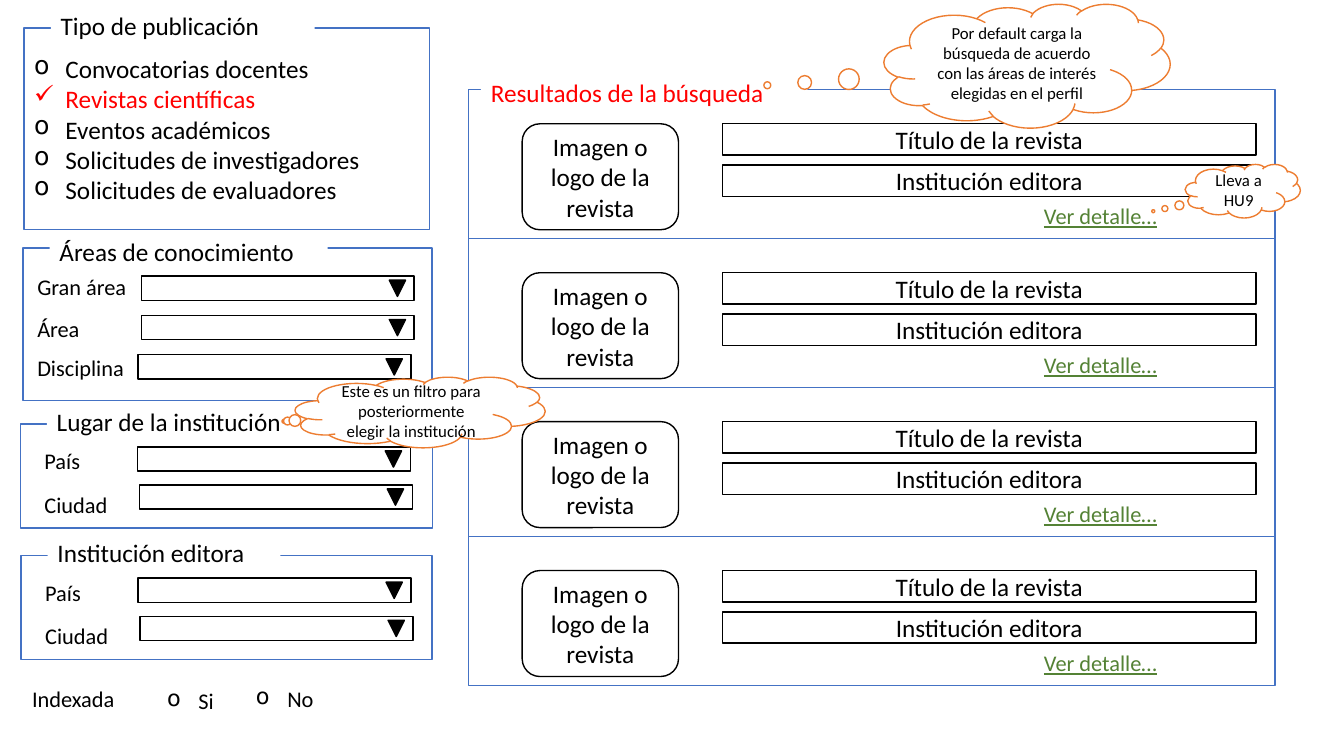
from lxml import etree
from pptx import Presentation
from pptx.dml.color import RGBColor
from pptx.enum.shapes import MSO_SHAPE
from pptx.enum.text import MSO_ANCHOR, PP_ALIGN
from pptx.oxml.ns import qn
from pptx.util import Cm, Pt

RECT, ROUND = MSO_SHAPE.RECTANGLE, MSO_SHAPE.ROUNDED_RECTANGLE
CLOUD, ARROW = MSO_SHAPE.CLOUD_CALLOUT, MSO_SHAPE.ISOSCELES_TRIANGLE
LEFT, CENTER = PP_ALIGN.LEFT, PP_ALIGN.CENTER
TOP, MIDDLE = MSO_ANCHOR.TOP, MSO_ANCHOR.MIDDLE
BLACK, WHITE, RED = "000000", "FFFFFF", "FF0000"
BLUE, GREEN, ORANGE = "4472C4", "548235", "ED7D31"
FONT = "Calibri"


def color(code):
    return RGBColor.from_string(code)


def draw(home, box, kind=RECT, fill=WHITE, line=None):
    shape = home.add_shape(kind, *map(Cm, box))
    shape.shadow.inherit = False
    if fill:
        shape.fill.solid()
        shape.fill.fore_color.rgb = color(fill)
    else:
        shape.fill.background()
    if line:
        shape.line.color.rgb = color(line)
        shape.line.width = Pt(1)
    else:
        shape.line.fill.background()
    return shape


def write(shape, text, size=18, ink=BLACK, align=CENTER, anchor=MIDDLE,
          mark=None, under=False, wrap=True, first=True):
    frame = shape.text_frame
    frame.word_wrap = wrap
    frame.vertical_anchor = anchor
    para = frame.paragraphs[0] if first else frame.add_paragraph()
    para.alignment = align
    run = para.add_run()
    run.text = text
    font = run.font
    font.name, font.size, font.underline = FONT, Pt(size), under
    font.color.rgb = color(ink)
    if mark:
        props = para._p.get_or_add_pPr()
        props.set("marL", str(Cm(0.79)))
        props.set("indent", str(-Cm(0.79)))
        etree.SubElement(props, qn("a:buChar")).set("char", mark)


def label(home, box, text, size=16, fill=None, **look):
    shape = draw(home, box, fill=fill)
    write(shape, text, size, align=LEFT, anchor=TOP, **look)


def field(home, x, y):
    # Drop-down list
    group = home.add_group_shape().shapes
    draw(group, (x, y, 6.88, 0.61), line=BLACK)
    arrow = draw(group, (x + 6.25, y + 0.1, 0.41, 0.41), ARROW, BLACK, BLACK)
    arrow.rotation = 180


def panel(home, box, title, wide, rise, rows=()):
    # Framed filter; each row is name, label x and y, field x and y
    x, y = box[:2]
    frame = draw(home, box, line=BLUE)
    label(home, (x + 0.67, y - rise, wide, 1.02), title, 18, WHITE)
    for name, tx, ty, fx, fy in rows:
        label(home, (x + tx, y + ty, 3.3, 0.94), name)
        field(home, x + fx, y + fy)
    return frame


def options(shape, names, chosen):
    for i, name in enumerate(names):
        on = name == chosen
        write(shape, name, ink=RED if on else BLACK, align=LEFT,
              mark="✓" if on else "o", first=i == 0)


def index(home, x, y):
    # Yes or no choice
    label(home, (x, y, 2.97, 0.94), "Indexada")
    label(home, (x + 3.4, y + 0.05, 1.85, 0.94), "Si", mark="o")
    label(home, (x + 5.64, y, 2.31, 0.94), "No", mark="o")


def card(home, x, y, wide, high):
    # One search result
    draw(home, (x, y, wide, high), line=BLUE)
    logo = draw(home, (x + 1.35, y + 0.86, 3.94, 2.67), ROUND, line=BLACK)
    write(logo, "Imagen o logo de la revista")
    lines = ("Título de la revista", "Institución editora")
    for i, text in enumerate(lines):
        bar = draw(home, (x + 6.4, y + 0.86 + 1.04 * i, 13.44, 0.79),
                   line=BLACK)
        write(bar, text)
    label(home, (x + 14.25, y + 2.72, 3.43, 0.94), "Ver detalle…",
          fill=WHITE, ink=GREEN, under=True, wrap=False)


def results(home, x, y, wide, high, count):
    step = high / count
    for i in range(count):
        card(home, x, y + i * step, wide, step)
    label(home, (x + 0.31, y - 0.43, 8.23, 1.02),
          "Resultados de la búsqueda", 18, WHITE, ink=RED)


def cloud(home, box, text, tail):
    shape = draw(home, box, CLOUD, line=ORANGE)
    for i, value in enumerate(tail):
        shape.adjustments[i] = value
    write(shape, text, 12)


deck = Presentation()
deck.slide_width, deck.slide_height = Cm(33.87), Cm(19.05)
page = deck.slides.add_slide(deck.slide_layouts[6]).shapes

# Filters
kinds = panel(page, (0.61, 0.71, 10.21, 5.08), "Tipo de publicación",
              6.65, 0.58)
options(kinds, ("Convocatorias docentes", "Revistas científicas",
                "Eventos académicos", "Solicitudes de investigadores",
                "Solicitudes de evaluadores"), "Revistas científicas")
areas = (("Gran área", 0.11, 0.51, 2.98, 0.71),
         ("Área", 0.11, 1.57, 2.98, 1.7),
         ("Disciplina", 0.11, 2.54, 2.9, 2.69))
places = (("País", 0.36, 0.46, 2.95, 0.57),
          ("Ciudad", 0.36, 1.56, 3, 1.53))
panel(page, (0.58, 6.25, 10.31, 3.84), "Áreas de conocimiento",
      7.01, 0.43, areas)
panel(page, (0.51, 10.69, 10.39, 2.62), "Lugar de la institución",
      6.6, 0.58, places)
panel(page, (0.53, 14, 10.36, 2.62), "Institución editora",
      5.87, 0.58, places)
index(page, 0.56, 17.15)

# Results
results(page, 11.81, 2.26, 20.32, 15.01, 4)

# Notes in clouds
cloud(page, (22.28, 0.1, 7.21, 3.12),
      "Por default carga la búsqueda de acuerdo con las áreas de interés "
      "elegidas en el perfil", (-0.908, 0.157))
cloud(page, (7.44, 9.5, 6.3, 1.78),
      "Este es un filtro para posteriormente elegir la institución",
      (-0.545, 0.127))
cloud(page, (29.87, 4.14, 2.9, 1.35), "Lleva a HU9", (-0.778, 0.377))

deck.save("out.pptx")
